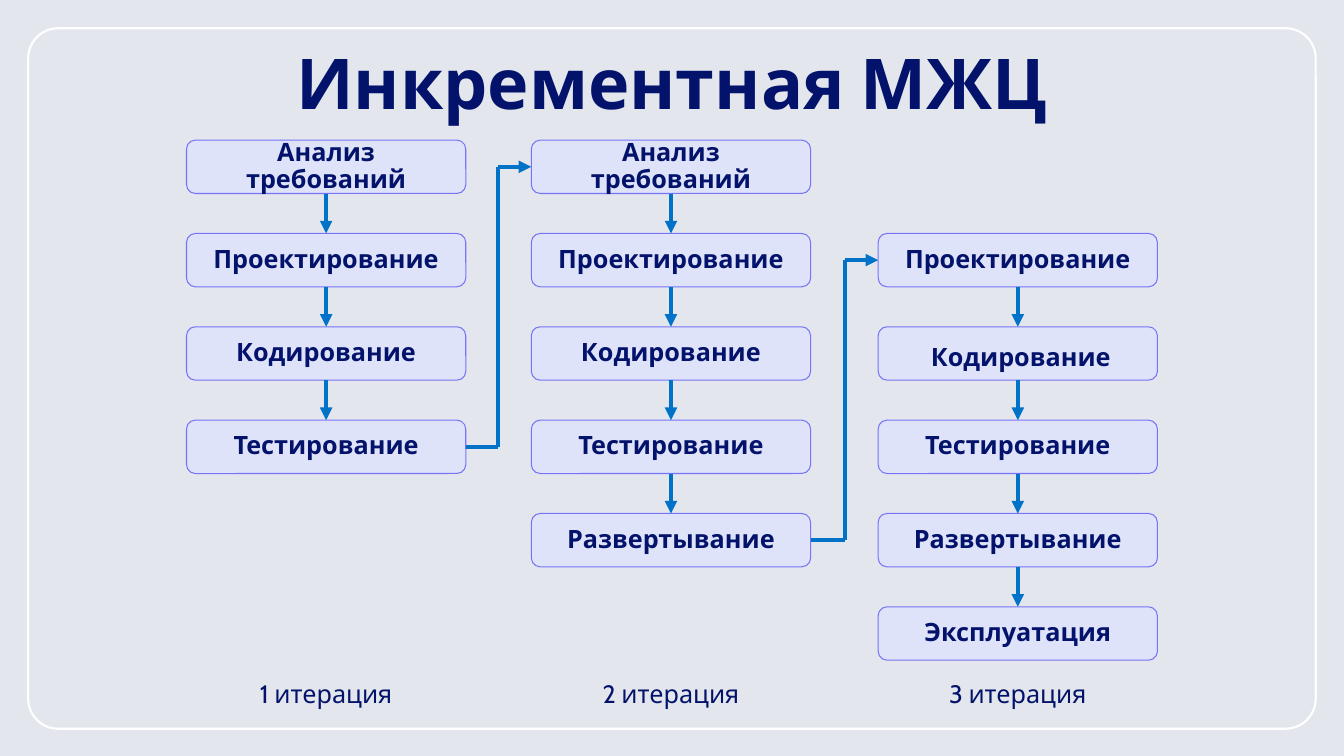
from itertools import pairwise

from lxml.etree import SubElement
from pptx import Presentation
from pptx.dml.color import RGBColor
from pptx.enum.shapes import MSO_CONNECTOR as Connector, MSO_SHAPE as Shape
from pptx.enum.text import MSO_ANCHOR as Anchor, PP_ALIGN as Align
from pptx.oxml.ns import qn
from pptx.util import Inches, Pt

BACKGROUND = RGBColor(0xE3, 0xE7, 0xED)
WHITE = RGBColor(0xFF, 0xFF, 0xFF)
NAVY = RGBColor(0x03, 0x12, 0x6A)
LAVENDER = RGBColor(0xDF, 0xE3, 0xFC)
VIOLET = RGBColor(0x76, 0x73, 0xF7)
BLUE = RGBColor(0x00, 0x72, 0xC7)

STAGE_WIDTH, STAGE_HEIGHT = 2.77, 0.53
FIRST_TOP, ROW_PITCH = 1.39, 4.63 / 5
BOTTOM, LEFT, RIGHT, TOP = 2, 1, 3, 0
BEND_GAP = 0.33

ANALYSIS, DESIGN, CODING = "Анализ требований", "Проектирование", "Кодирование"
TESTING, DEPLOYMENT, OPERATION = "Тестирование", "Развертывание", "Эксплуатация"
ITERATIONS = [
    (1.85, 0, [ANALYSIS, DESIGN, CODING, TESTING]),
    (5.27, 0, [ANALYSIS, DESIGN, CODING, TESTING, DEPLOYMENT]),
    (8.71, 1, [DESIGN, CODING, TESTING, DEPLOYMENT, OPERATION]),
]


def apply_format(target, values):
    """Set every attribute named in the format values."""
    for attribute, value in values.items():
        setattr(target, attribute, value)


def write(frame, wording, size, bold=False, spacing=1.0, **frame_format):
    """Fill a text frame with one centred paragraph."""
    apply_format(frame, {"word_wrap": True, **frame_format})
    paragraph = frame.paragraphs[0]
    apply_format(paragraph, {"alignment": Align.CENTER, "line_spacing": spacing})
    run = paragraph.add_run()
    run.text = wording
    apply_format(run.font, {"name": "Cabin", "size": Pt(size), "bold": bold})
    run.font.color.rgb = NAVY


def add_caption(slide, box, wording, size, **text_format):
    """Add a text box holding a title or an iteration label."""
    caption = slide.shapes.add_textbox(*map(Inches, box))
    write(caption.text_frame, wording, size, **text_format)


def add_rounded(slide, box, rounding, line_color, line_width):
    """Add an outlined rounded rectangle without shadow or fill."""
    panel = slide.shapes.add_shape(Shape.ROUNDED_RECTANGLE, *map(Inches, box))
    panel.adjustments[0] = rounding
    panel.shadow.inherit = False
    panel.fill.background()
    panel.line.color.rgb = line_color
    panel.line.width = Pt(line_width)
    return panel


def add_stage(slide, left, row, wording, shift=(0, 0)):
    """Add one stage of an iteration, with its text moved by shift."""
    top = FIRST_TOP + row * ROW_PITCH
    stage = add_rounded(slide, (left, top, STAGE_WIDTH, STAGE_HEIGHT), 0.1667, VIOLET, 0.75)
    stage.fill.solid()
    stage.fill.fore_color.rgb = LAVENDER
    tint = stage.fill._xPr.find(qn("a:solidFill"))[0]
    SubElement(tint, qn("a:alpha"), val="90000")
    across, down = shift
    write(
        stage.text_frame, wording, 18, bold=True, spacing=0.9,
        vertical_anchor=Anchor.MIDDLE,
        margin_left=Inches(0.2 + across), margin_right=Inches(0.2 - across),
        margin_top=Inches(0.2 + down), margin_bottom=Inches(0.2 - down),
    )
    return stage


def add_link(slide, start, end, arrow=True):
    """Draw a blue straight connector between two points."""
    link = slide.shapes.add_connector(Connector.STRAIGHT, *start, *end)
    link.line.color.rgb = BLUE
    link.line.width = Pt(3)
    if arrow:
        SubElement(link.line._get_or_add_ln(), qn("a:tailEnd"), type="triangle")
    SubElement(link._element.spPr, qn("a:effectLst"))
    return link


def link_down(slide, upper, lower):
    """Join a stage to the stage below it."""
    link = add_link(slide, (0, 0), (0, 0))
    link.begin_connect(upper, BOTTOM)
    link.end_connect(lower, TOP)


def link_iterations(slide, last, first):
    """Lead from the last stage of an iteration to the first of the next."""
    bend = first.left - Inches(BEND_GAP)
    low = (bend, last.top + last.height // 2)
    high = (bend, first.top + first.height // 2)
    add_link(slide, low, low, arrow=False).begin_connect(last, RIGHT)
    add_link(slide, low, high, arrow=False)
    add_link(slide, high, high).end_connect(first, LEFT)


def main():
    """Build the slide of the incremental life cycle model."""
    deck = Presentation()
    apply_format(deck, {"slide_width": Inches(13.33), "slide_height": Inches(7.5)})
    slide = deck.slides.add_slide(deck.slide_layouts[6])
    slide.background.fill.solid()
    slide.background.fill.fore_color.rgb = BACKGROUND

    add_rounded(slide, (0.28, 0.28, 12.77, 6.95), 0.043, WHITE, 1.5)
    add_caption(slide, (0, 0, 13.33, 1.29), "Инкрементная МЖЦ", 50, bold=True,
                spacing=0.9, vertical_anchor=Anchor.BOTTOM)

    columns = []
    for number, (left, first_row, wordings) in enumerate(ITERATIONS, 1):
        stages = []
        for row, wording in enumerate(wordings, first_row):
            shift = (0.03, 0.05) if (number, wording) == (3, CODING) else (0, 0)
            stages.append(add_stage(slide, left, row, wording, shift))
        for upper, lower in pairwise(stages):
            link_down(slide, upper, lower)
        add_caption(slide, (left + 0.4, 6.68, 1.97, 0.4), f"{number} итерация", 18)
        columns.append(stages)
    for current, following in pairwise(columns):
        link_iterations(slide, current[-1], following[0])

    deck.save("out.pptx")


if __name__ == "__main__":
    main()
